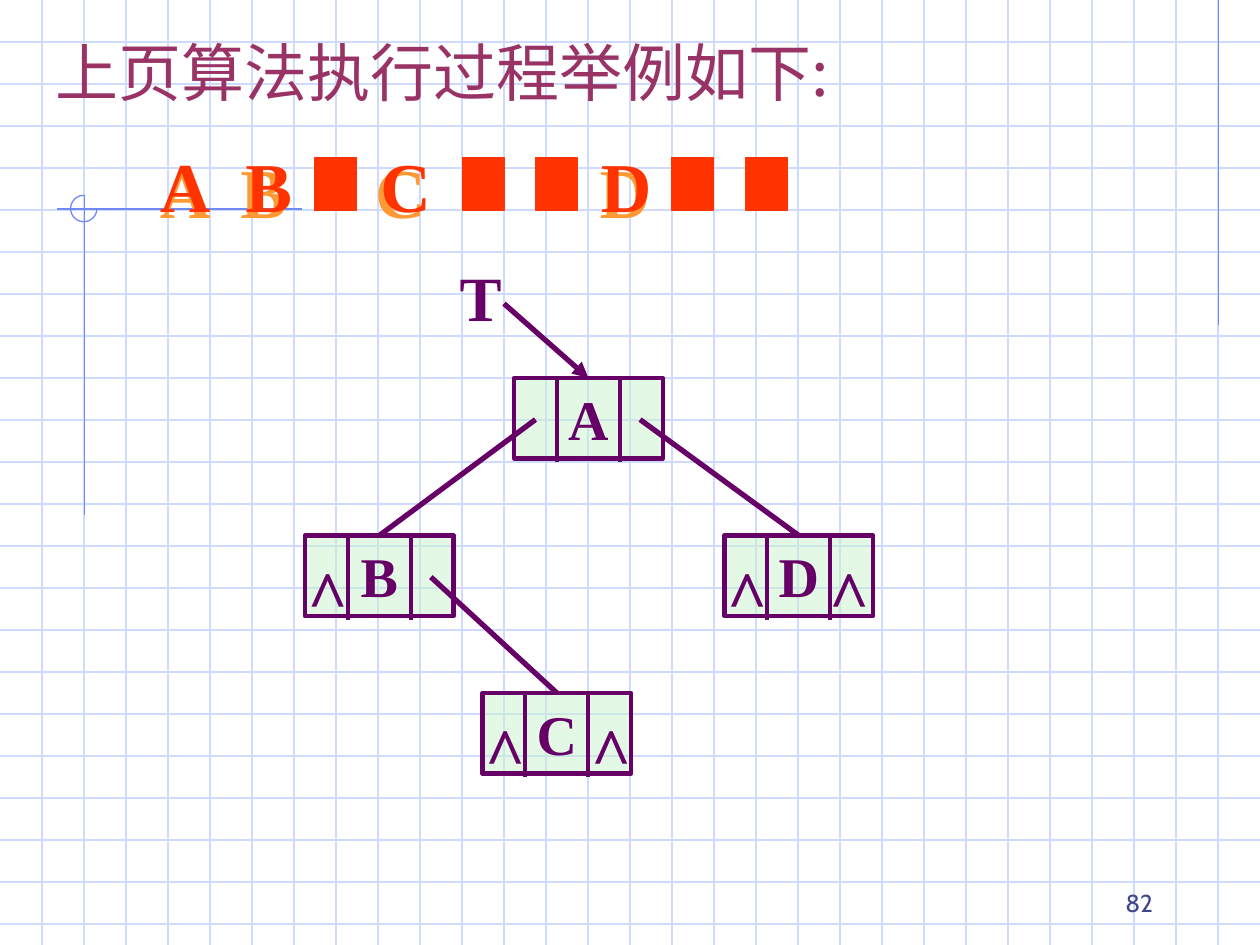
"""Build a slide that traces a binary tree built from its preorder sequence."""
from lxml.etree import SubElement
from pptx import Presentation
from pptx.dml.color import RGBColor
from pptx.enum.shapes import MSO_CONNECTOR as CONNECTOR, MSO_SHAPE as SHAPE
from pptx.enum.text import MSO_ANCHOR as ANCHOR, MSO_AUTO_SIZE as AUTO, PP_ALIGN as ALIGN
from pptx.oxml.ns import qn
from pptx.util import Inches, Pt

GRID = RGBColor(0xCF, 0xDB, 0xFD)
BLUE = RGBColor(0x6F, 0x89, 0xF7)
ORANGE = RGBColor(0xFF, 0x99, 0x33)
RED = RGBColor(0xFF, 0x33, 0x00)
ROSE = RGBColor(0x99, 0x33, 0x66)
PURPLE = RGBColor(0x66, 0x00, 0x66)
MINT = RGBColor(0xCA, 0xF2, 0xCE)
INDIGO = RGBColor(0x40, 0x45, 0x8C)
SERIF = "Times New Roman"

presentation = Presentation()
presentation.slide_width = Inches(10)
presentation.slide_height = Inches(7.5)
slide = presentation.slides.add_slide(presentation.slide_layouts[6])
shapes = slide.shapes


def add_line(x1, y1, x2, y2, color, width):
    line = shapes.add_connector(
        CONNECTOR.STRAIGHT, Inches(x1), Inches(y1), Inches(x2), Inches(y2))
    line.line.color.rgb = color
    line.line.width = Pt(width)
    SubElement(line._element.spPr, qn("a:effectLst"))
    return line


def write(holder, text, size, color, font=SERIF, bold=True, wrap=False,
          align=ALIGN.LEFT, anchor=ANCHOR.TOP, fit=AUTO.SHAPE_TO_FIT_TEXT):
    frame = holder.text_frame
    for key, value in {"word_wrap": wrap, "auto_size": fit, "vertical_anchor": anchor}.items():
        setattr(frame, key, value)
    paragraph = frame.paragraphs[0]
    paragraph.alignment = align
    run = paragraph.add_run()
    run.text = text
    for key, value in {"size": Pt(size), "name": font, "bold": bold}.items():
        setattr(run.font, key, value)
    run.font.color.rgb = color
    SubElement(run._r.get_or_add_rPr(), qn("a:ea"), typeface=font)
    return paragraph


for row in range(1, 23):
    add_line(0, row / 3, 10, row / 3, GRID, 0.75)
for column in range(1, 30):
    add_line(column / 3, 0, column / 3, 7.5, GRID, 0.75)
for ends in [(9.67, 0, 9.67, 2.58), (2.4, 1.66, 0.45, 1.66), (0.67, 1.55, 0.67, 4.09)]:
    add_line(*ends, BLUE, 0.75)

corner_arc = shapes.add_shape(SHAPE.ARC, Inches(0.56), Inches(1.55), Inches(0.21), Inches(0.21))
corner_arc.adjustments[0] = 0
corner_arc.adjustments[1] = 162
corner_arc.fill.background()
corner_arc.line.color.rgb = BLUE
corner_arc.line.width = Pt(0.75)
corner_arc.shadow.inherit = False

sequence_shade = shapes.add_textbox(Inches(1.17), Inches(1), Inches(6.67), Inches(0.9))
shade_line = write(sequence_shade, "A\tB\tC\tD", 40, ORANGE, wrap=True)
shade_line.line_spacing = 1.2
tab_stops = SubElement(shade_line._p.get_or_add_pPr(), qn("a:tabLst"))
for stop in (0.64, 1.71, 3.49):
    SubElement(tab_stops, qn("a:tab"), pos=str(Inches(stop)), algn="l")

for left in (2.5, 3.67, 4.25, 5.33, 5.92):
    blank = shapes.add_shape(SHAPE.RECTANGLE, Inches(left), Inches(1.25), Inches(0.33), Inches(0.42))
    blank.fill.solid()
    blank.fill.fore_color.rgb = RED
    blank.line.color.rgb = RED
    blank.line.width = Pt(1)
    blank.shadow.inherit = False

labels = [
    ("A", 1.17, 1.08, 0.6, 0.77, 40, RED, SERIF, True),
    ("B", 1.85, 1.08, 0.57, 0.77, 40, RED, SERIF, True),
    ("C", 2.92, 1.08, 0.6, 0.77, 40, RED, SERIF, True),
    ("D", 4.67, 1.08, 0.6, 0.77, 40, RED, SERIF, True),
    ("上页算法执行过程举例如下:", 0.34, 0.22, 6.57, 0.7, 36, ROSE, "Noto Sans CJK SC", False),
    ("T", 3.55, 2, 0.53, 0.7, 36, PURPLE, SERIF, True),
]
for text, left, top, width, height, *style in labels:
    label = shapes.add_textbox(Inches(left), Inches(top), Inches(width), Inches(height))
    write(label, text, *style)

nodes = {}
for letter, left, top in [("A", 4.08, 3), ("B", 2.42, 4.25), ("C", 3.83, 5.5), ("D", 5.75, 4.25)]:
    node = shapes.add_shape(SHAPE.RECTANGLE, Inches(left), Inches(top), Inches(1.18), Inches(0.64))
    node.fill.solid()
    node.fill.fore_color.rgb = MINT
    tint = node.fill._xPr.find(qn("a:solidFill"))[0]
    SubElement(tint, qn("a:alpha"), val="50000")
    node.line.color.rgb = PURPLE
    node.line.width = Pt(2.5)
    node.shadow.inherit = False
    write(node, letter, 32, PURPLE, wrap=True, align=ALIGN.CENTER)
    for offset in (0.34, 0.84):
        add_line(left + offset, top, left + offset, top + 0.67, PURPLE, 2.25)
    nodes[letter] = node

links = [
    (4, 2.41, 4.67, 3, "A"),
    (4.25, 3.33, 3, 4.25, "B"),
    (3.42, 4.58, 4.42, 5.5, "C"),
    (5.08, 3.33, 6.33, 4.25, "D"),
]
for *ends, child in links:
    link = add_line(*ends, PURPLE, 3)
    link.end_connect(nodes[child], 0)
    if child == "A":
        SubElement(link.line._get_or_add_ln(), qn("a:tailEnd"), type="triangle")

for left, top in [(2.34, 4.32), (3.75, 5.57), (4.59, 5.57), (5.67, 4.32), (6.48, 4.32)]:
    null_mark = shapes.add_textbox(Inches(left), Inches(top), Inches(0.52), Inches(0.77))
    write(null_mark, "^", 40, PURPLE)

page_number = shapes.add_textbox(Inches(7.17), Inches(6.83), Inches(2.08), Inches(0.5))
write(page_number, "82", 14, INDIGO, "Cabin", False, wrap=True,
      align=ALIGN.RIGHT, anchor=ANCHOR.BOTTOM, fit=AUTO.NONE)

presentation.save("out.pptx")
